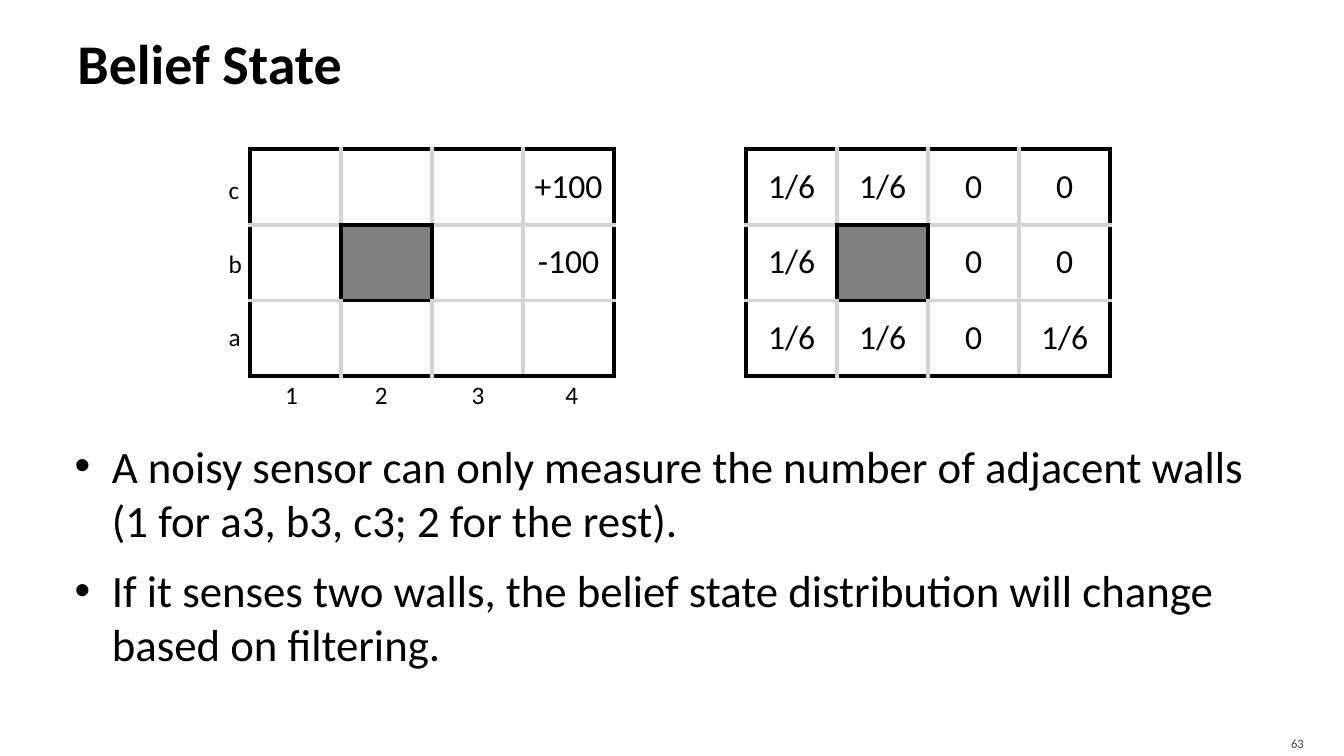
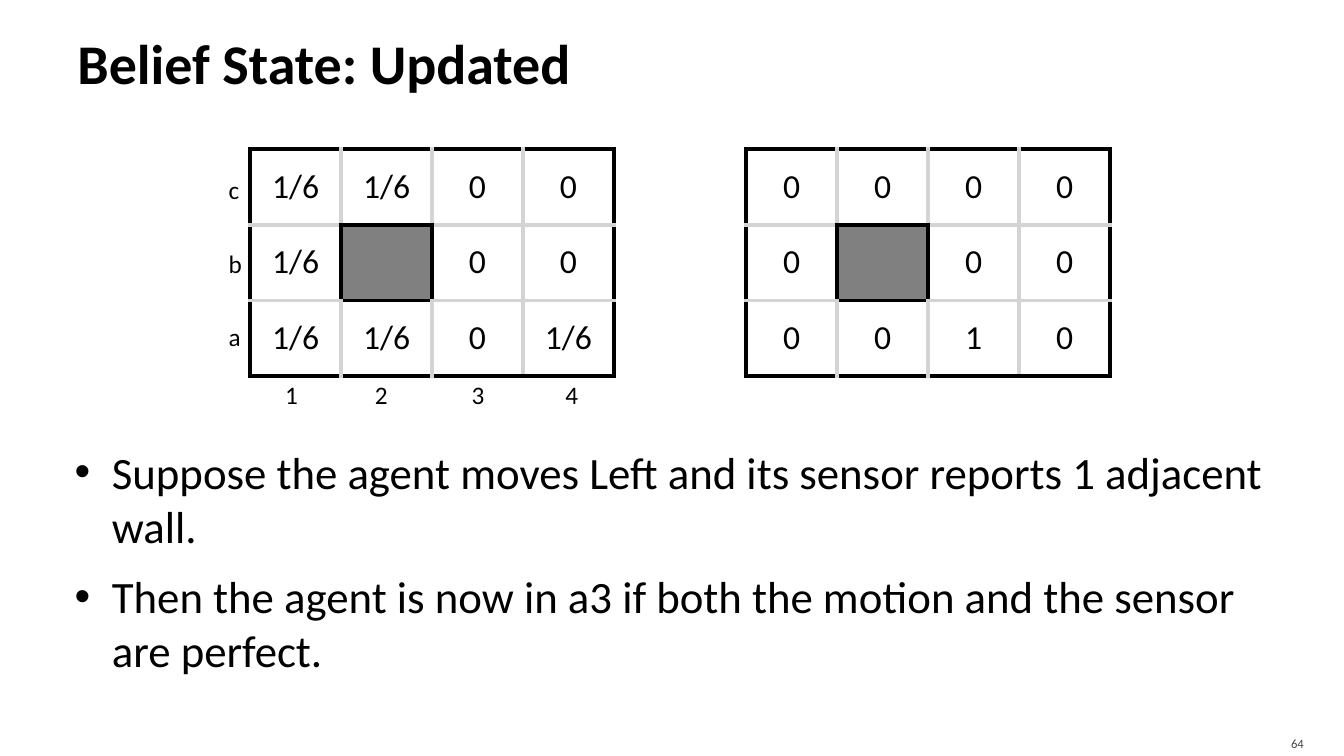
from dataclasses import dataclass

from lxml.etree import SubElement
from pptx import Presentation
from pptx.dml.color import RGBColor
from pptx.enum.text import MSO_ANCHOR, PP_ALIGN
from pptx.oxml import parse_xml
from pptx.oxml.ns import nsdecls, qn
from pptx.util import Emu, Pt


@dataclass(frozen=True)
class Theme:
    font: str = "Calibri"
    ink: str = "000000"
    rule: str = "D4D4D6"
    wall: str = "808080"
    muted: str = "454545"
    title: int = 40
    body: int = 32
    cell: int = 24
    label: int = 18
    page: int = 9
    line: int = 3


THEME = Theme()
WALL = None
ROWS, COLS = 3, 4
GRID_TOP, GRID_W, GRID_H = 148, 361, 225
LEFT_GRID, RIGHT_GRID = 248, 740
SIDES = {"lnL": (0, -1), "lnR": (0, 1), "lnT": (-1, 0), "lnB": (1, 0)}
FIRST_PAGE = 63

REWARDS = [["", "", "", "+100"], ["", WALL, "", "-100"], ["", "", "", ""]]
PRIOR = [
    ["1/6", "1/6", "0", "0"],
    ["1/6", WALL, "0", "0"],
    ["1/6", "1/6", "0", "1/6"],
]
UPDATED = [["0", "0", "0", "0"], ["0", WALL, "0", "0"], ["0", "0", "1", "0"]]

SLIDES = [
    ("Belief State", REWARDS, PRIOR, 425, [
        "A noisy sensor can only measure the number of adjacent walls "
        "(1 for a3, b3, c3; 2 for the rest).",
        "If it senses two walls, the belief state distribution will change "
        "based on filtering.",
    ]),
    ("Belief State: Updated", PRIOR, UPDATED, 431, [
        "Suppose the agent moves Left and its sensor reports 1 adjacent wall.",
        "Then the agent is now in a3 if both the motion and the sensor "
        "are perfect.",
    ]),
]


def px(n):
    """Turn px into EMU, at 100 px to the inch."""
    return Emu(n * 9144)


def style(para, size, color=THEME.ink, bold=False, align=PP_ALIGN.LEFT):
    para.alignment = align
    for run in para.runs:
        font = run.font
        font.name, font.size, font.bold = THEME.font, Pt(size), bold
        font.color.rgb = RGBColor.from_string(color)


def add_text(slide, box, lines, size, insets=(10, 5, 10, 5), wrap=True,
             anchor=MSO_ANCHOR.TOP, **look):
    frame = slide.shapes.add_textbox(*map(px, box)).text_frame
    frame.word_wrap, frame.vertical_anchor = wrap, anchor
    (frame.margin_left, frame.margin_top,
     frame.margin_right, frame.margin_bottom) = map(px, insets)
    frame.text = "\n".join(lines)
    for para in frame.paragraphs:
        style(para, size, **look)
    return frame


def add_title(slide, text):
    add_text(slide, (67, 8, 1200, 108), [text], THEME.title, (10, 5, 5, 5),
             anchor=MSO_ANCHOR.MIDDLE, bold=True)


def add_page(slide, number):
    add_text(slide, (1196, 720, 107, 30), [str(number)], THEME.page,
             (10, 5, 10, 0), anchor=MSO_ANCHOR.MIDDLE, color=THEME.muted,
             align=PP_ALIGN.RIGHT)


def add_points(slide, top, points):
    frame = add_text(slide, (67, top, 1200, 717 - top), points, THEME.body,
                     (6, 10, 10, 5))
    for para in frame.paragraphs:
        para.space_before = para.space_after = Pt(6)
        props = para._p.get_or_add_pPr()
        props.set("marL", str(px(38)))
        props.set("indent", str(px(-37)))
        tint = SubElement(props, qn("a:buClr"))
        SubElement(tint, qn("a:srgbClr"), val=THEME.ink)
        SubElement(props, qn("a:buFont"), typeface="Arial")
        SubElement(props, qn("a:buChar"), char="•")


def is_open(grid, row, col):
    return 0 <= row < ROWS and 0 <= col < COLS and grid[row][col] is not WALL


def add_edges(cell, grid, row, col):
    """Draw light edges between open squares and dark ones elsewhere."""
    props = cell._tc.get_or_add_tcPr()
    for spot, (side, (down, right)) in enumerate(SIDES.items()):
        inner = (is_open(grid, row, col)
                 and is_open(grid, row + down, col + right))
        color = THEME.rule if inner else THEME.ink
        props.insert(spot, parse_xml(
            f'<a:{side} {nsdecls("a")} w="{Pt(THEME.line)}"><a:solidFill>'
            f'<a:srgbClr val="{color}"/></a:solidFill></a:{side}>'))


def add_grid(slide, left, grid):
    box = map(px, (left, GRID_TOP, GRID_W, GRID_H))
    table = slide.shapes.add_table(ROWS, COLS, *box).table
    table.first_row = table.horz_banding = False
    for row, values in enumerate(grid):
        for col, value in enumerate(values):
            cell = table.cell(row, col)
            cell.vertical_anchor = MSO_ANCHOR.MIDDLE
            if value is WALL:
                cell.fill.solid()
                cell.fill.fore_color.rgb = RGBColor.from_string(THEME.wall)
            else:
                cell.fill.background()
                cell.text_frame.text = value
                style(cell.text_frame.paragraphs[0], THEME.cell,
                      align=PP_ALIGN.CENTER)
            add_edges(cell, grid, row, col)


def add_labels(slide):
    """Name the rows and columns of the left grid."""
    spots = [(name, 217, 168 + 73 * i) for i, name in enumerate("cba")]
    spots += [(name, left, 371)
              for name, left in zip("1234", (273, 362, 458, 551))]
    for name, left, top in spots:
        add_text(slide, (left, top, 33, 40), [name], THEME.label, wrap=False)


def main():
    deck = Presentation()
    deck.slide_width, deck.slide_height = px(1333), px(750)
    blank = deck.slide_layouts[6]
    for page, content in enumerate(SLIDES, FIRST_PAGE):
        title, before, after, top, points = content
        slide = deck.slides.add_slide(blank)
        add_title(slide, title)
        add_points(slide, top, points)
        add_page(slide, page)
        add_grid(slide, LEFT_GRID, before)
        add_labels(slide)
        add_grid(slide, RIGHT_GRID, after)
    deck.save("out.pptx")


if __name__ == "__main__":
    main()
